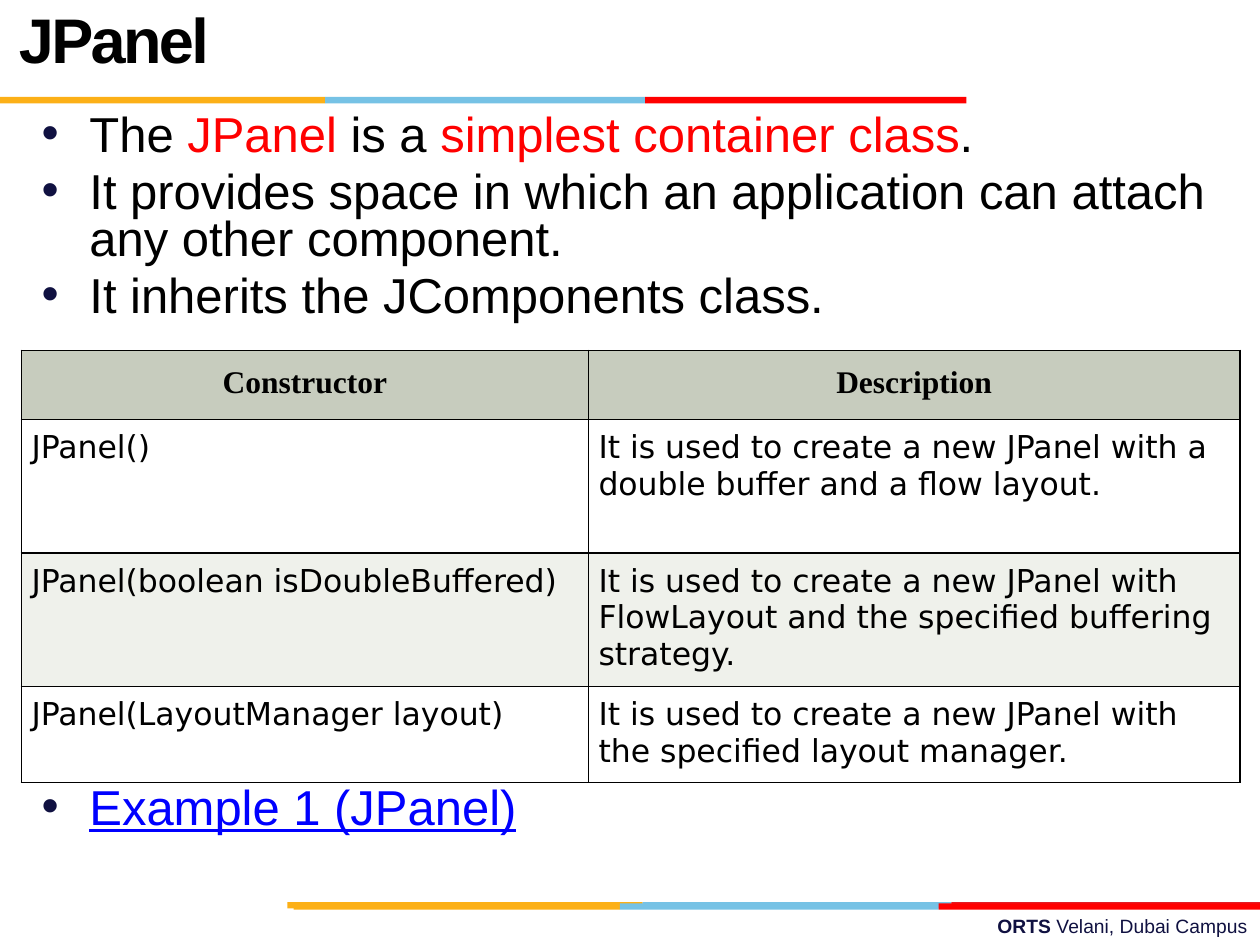
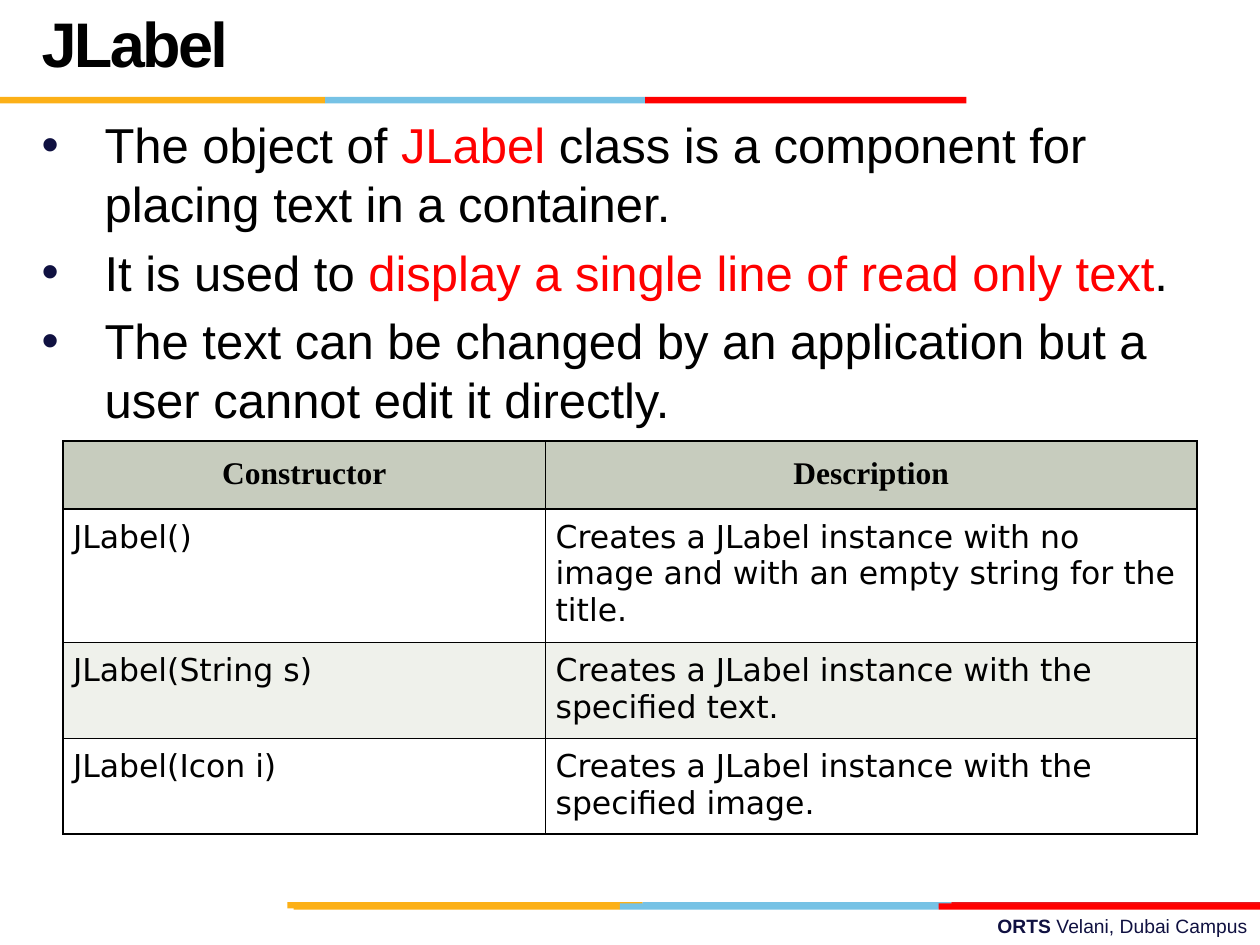
from lxml.etree import SubElement
from pptx import Presentation
from pptx.dml.color import RGBColor
from pptx.enum.shapes import MSO_SHAPE
from pptx.enum.text import MSO_ANCHOR, MSO_AUTO_SIZE, PP_ALIGN
from pptx.oxml.ns import qn
from pptx.util import Inches, Pt

BLACK, WHITE, NAVY, LINK = "000000", "FFFFFF", "101141", "0000FF"
YELLOW, SKY, CRIMSON, RED = "FCB017", "76C2E5", "E31C24", "FF0000"
HEADER_FILL, ODD_FILL, EVEN_FILL = "C7CCBE", WHITE, "EFF1EB"
BODY_FONT, HEADER_FONT, CELL_FONT = "Arial", "Times New Roman", "DejaVu Sans"
LIST_GAP = 5.6

# Each band: top, thickness, four segment edges (percent of the slide), colours
BANDS = [
    (95.47, 0.67, (22.8, 51, 75.5, 100), (YELLOW, SKY, CRIMSON)),
    (95.6, 0.67, (23.3, 49.2, 74.5, 100), (YELLOW, SKY, RED)),
    (10.27, 0.67, (0, 25.8, 51.2, 76.7), (YELLOW, SKY, RED)),
]


def color(hex_string):
    return RGBColor.from_string(hex_string)


class Deck:
    """Holds the shared style and the current slide; lengths are percentages."""

    def __init__(self):
        self.presentation = Presentation()
        self.presentation.slide_width = Inches(10)
        self.presentation.slide_height = Inches(7.5)
        self.slide = None

    def across(self, percent):
        return round(self.presentation.slide_width * percent / 100)

    def down(self, percent):
        return round(self.presentation.slide_height * percent / 100)

    def box(self, left, top, width, height):
        return (self.across(left), self.down(top),
                self.across(width), self.down(height))

    def place(self, shape, *area):
        shape.left, shape.top, shape.width, shape.height = self.box(*area)

    def run(self, paragraph, text, size, fill=BLACK, font=BODY_FONT, bold=False):
        run = paragraph.add_run()
        run.text = text
        run.font.size = Pt(size)
        run.font.name = font
        run.font.bold = bold
        run.font.color.rgb = color(fill)
        return run

    def new_slide(self):
        layout = self.presentation.slide_layouts.get_by_name("Title and Content")
        self.slide = self.presentation.slides.add_slide(layout)
        self.footer()
        for band in BANDS:
            self.band(*band)

    def band(self, top, thickness, edges, fills):
        for left, right, fill in zip(edges, edges[1:], fills):
            segment = self.slide.shapes.add_shape(
                MSO_SHAPE.RECTANGLE, *self.box(left, top, right - left, thickness))
            segment.shadow.inherit = False
            segment.fill.solid()
            segment.fill.fore_color.rgb = color(fill)
            segment.line.fill.background()

    def footer(self):
        frame = self.slide.shapes.add_textbox(*self.box(35.8, 96.13, 64.2, 3.87)).text_frame
        frame.word_wrap = True
        paragraph = frame.paragraphs[0]
        paragraph.alignment = PP_ALIGN.RIGHT
        self.run(paragraph, "ORTS ", 11, NAVY, bold=True)
        self.run(paragraph, "Velani, Dubai Campus", 11, NAVY)

    def title(self, text, *area):
        shape = self.slide.shapes.title
        self.place(shape, *area)
        frame = shape.text_frame
        frame.auto_size = MSO_AUTO_SIZE.NONE
        frame.vertical_anchor = MSO_ANCHOR.MIDDLE
        paragraph = frame.paragraphs[0]
        paragraph.alignment = PP_ALIGN.LEFT
        paragraph.line_spacing = Pt(36)
        run = self.run(paragraph, text, 36, bold=True)
        run.font._element.set("spc", "-150")

    def bullets(self, items, indent, line_spacing):
        """Fill the body; each item is a list of (text, colour) runs."""
        shape = self.slide.placeholders[1]
        self.place(shape, 2.3, 11.47, 96, 83.2)
        frame = shape.text_frame
        frame.auto_size = MSO_AUTO_SIZE.NONE
        for index, item in enumerate(items):
            paragraph = frame.add_paragraph() if index else frame.paragraphs[0]
            paragraph.line_spacing = line_spacing
            paragraph.space_before = Pt(LIST_GAP)
            properties = paragraph._p.get_or_add_pPr()
            properties.set("marL", str(Inches(indent)))
            properties.set("indent", str(-Inches(indent)))
            bullet_color = SubElement(properties, qn("a:buClr"))
            SubElement(bullet_color, qn("a:srgbClr"), val=NAVY)
            SubElement(properties, qn("a:buFont"), typeface=BODY_FONT)
            SubElement(properties, qn("a:buChar"), char="•")
            for text, fill in item:
                self.run(paragraph, text, 28, fill)
        return frame.paragraphs

    def table(self, left, top, columns, heights, rows):
        shape = self.slide.shapes.add_table(
            len(rows), len(columns),
            *self.box(left, top, sum(columns), sum(heights)))
        table = shape.table
        table.first_row = table.horz_banding = False
        for column, width in zip(table.columns, columns):
            column.width = self.across(width)
        for index, (row, height, texts) in enumerate(zip(table.rows, heights, rows)):
            row.height = self.down(height)
            for cell, text in zip(row.cells, texts):
                self.cell(cell, text, index)

    def cell(self, cell, text, row_index):
        header = row_index == 0
        margin = Inches(0.12 if header else 0.08)
        cell.margin_left = cell.margin_right = margin
        cell.margin_top = cell.margin_bottom = margin
        for side in ("a:lnL", "a:lnR", "a:lnT", "a:lnB"):
            border = SubElement(cell._tc.get_or_add_tcPr(), qn(side), w=str(Pt(1)))
            fill = SubElement(border, qn("a:solidFill"))
            SubElement(fill, qn("a:srgbClr"), val=BLACK)
        cell.fill.solid()
        cell.fill.fore_color.rgb = color(
            HEADER_FILL if header else ODD_FILL if row_index % 2 else EVEN_FILL)
        paragraph = cell.text_frame.paragraphs[0]
        paragraph.alignment = PP_ALIGN.CENTER if header else PP_ALIGN.LEFT
        self.run(paragraph, text, 18, font=HEADER_FONT if header else CELL_FONT,
                 bold=header)


def panel_slide(deck):
    deck.new_slide()
    deck.title("JPanel", 0.5, 2.67, 73.3, 4.13)
    paragraphs = deck.bullets([
        [("The ", BLACK), ("JPanel", RED), (" is a ", BLACK),
         ("simplest container class", RED), (".", BLACK)],
        [("It provides space in which an application can attach "
          "any other component.", BLACK)],
        [("It inherits the JComponents class.", BLACK)],
        [("Example 1 (JPanel)", LINK)],
    ], indent=0.38, line_spacing=0.8)
    # The example line sits below the table
    example = paragraphs[-1]
    example.space_before = Pt(265.6)
    example.runs[0].font.underline = True
    deck.table(1.7, 37.07, (45, 51.7), (7.33, 14.13, 14.13, 10.13), [
        ("Constructor", "Description"),
        ("JPanel()", "It is used to create a new JPanel with a double buffer "
                     "and a flow layout."),
        ("JPanel(boolean isDoubleBuffered)",
         "It is used to create a new JPanel with FlowLayout and the "
         "specified buffering strategy."),
        ("JPanel(LayoutManager layout)",
         "It is used to create a new JPanel with the specified layout manager."),
    ])


def label_slide(deck):
    deck.new_slide()
    deck.title("JLabel", 2.3, 2.53, 71.8, 5.33)
    deck.bullets([
        [("The object of ", BLACK), ("JLabel", RED),
         (" class is a component for placing text in a container.", BLACK)],
        [("It is used to ", BLACK),
         ("display a single line of read only text", RED), (".", BLACK)],
        [("The text can be changed by an application but a user cannot "
          "edit it directly.", BLACK)],
    ], indent=0.5, line_spacing=1.0)
    deck.table(5, 46.67, (38.3, 51.7), (6.93, 13.87, 9.95, 9.95), [
        ("Constructor", "Description"),
        ("JLabel()", "Creates a JLabel instance with no image and with an "
                     "empty string for the title."),
        ("JLabel(String s)", "Creates a JLabel instance with the specified text."),
        ("JLabel(Icon i)", "Creates a JLabel instance with the specified image."),
    ])


def main():
    deck = Deck()
    panel_slide(deck)
    label_slide(deck)
    deck.presentation.save("out.pptx")


if __name__ == "__main__":
    main()
